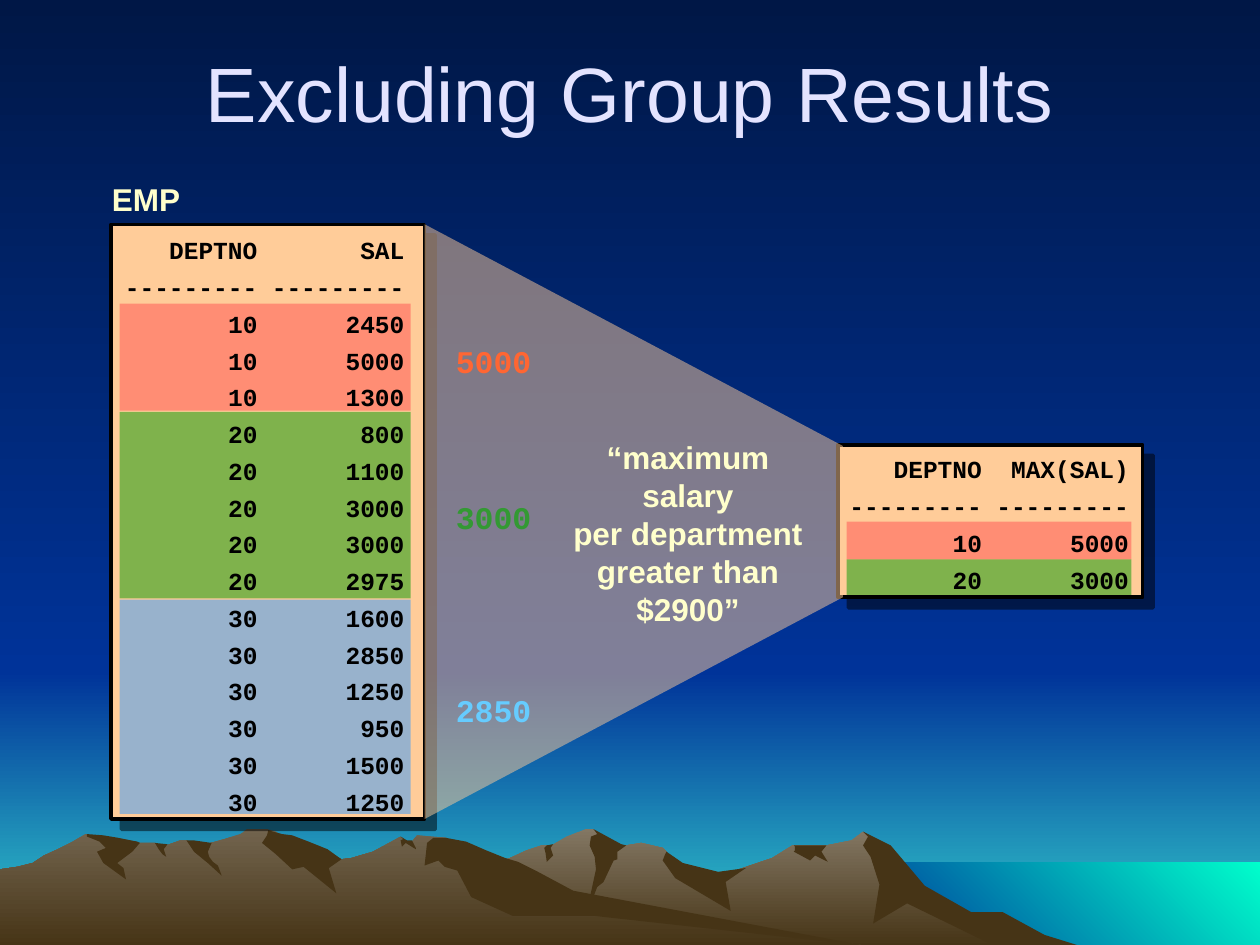
from dataclasses import dataclass

from lxml.etree import SubElement
from pptx import Presentation
from pptx.dml.color import RGBColor
from pptx.enum.shapes import MSO_SHAPE as Shape
from pptx.enum.text import MSO_ANCHOR as Anchor, MSO_AUTO_SIZE as AutoSize, PP_ALIGN as Align
from pptx.oxml.ns import qn
from pptx.util import Pt


@dataclass(frozen=True)
class Theme:
    sans: str = "Arial"
    mono: str = "Courier New"
    title_size: int = 44
    label_size: int = 18
    row_size: int = 14
    title: str = "E3E3FF"
    label: str = "FFFFCC"
    ink: str = "000000"
    panel: str = "FFCC99"
    rock_shade: str = "463416"
    night: tuple = ("001746", "003399")
    dusk: tuple = ("003399", "33CCCC")
    sea: tuple = ("00FFCC", "003399")
    far_rock: tuple = ("837763", "463416")
    near_rock: tuple = ("72644E", "463416")


THEME = Theme()
GRID = Pt(0.72)  # unit of the outline coordinates below
COLUMN_ENDS = (76, 160)  # right edges of the two text columns
DASHES = "-" * 9

FAR_RANGE = [
    (802, 740), (778, 727), (764, 723), (723, 698), (702, 671), (685, 660), (676, 667),
    (656, 671), (629, 671), (613, 681), (566, 697), (536, 690), (529, 676), (526, 673),
    (509, 669), (497, 671), (486, 673), (474, 661), (471, 658), (465, 658), (450, 664),
    (438, 671), (430, 671), (418, 675), (405, 681), (394, 685), (355, 698), (327, 709),
    (277, 739), (258, 751), (821, 751)]
FAR_SHADES = [
    [(796, 724), (771, 724), (734, 703), (707, 671), (685, 660), (689, 664), (685, 671),
     (691, 680), (698, 702), (693, 733), (720, 717), (792, 752), (858, 751), (829, 742)],
    [(471, 658), (474, 662), (469, 664), (468, 671), (472, 680), (473, 690), (465, 727),
     (474, 704), (479, 700), (487, 683), (490, 682), (490, 676), (497, 671), (493, 670)],
    [(529, 676), (528, 678), (526, 683), (536, 697), (580, 723), (576, 700), (592, 689),
     (570, 692), (542, 685)],
    [(650, 671), (630, 671), (631, 672), (631, 675), (630, 676), (643, 683), (647, 679),
     (657, 684), (652, 676), (656, 671)],
    [(433, 677), (432, 673), (434, 671), (439, 670), (437, 673), (439, 679), (434, 684)]]
NEAR_RANGE = [
    (690, 751), (667, 748), (432, 712), (354, 665), (331, 663), (327, 668), (323, 668),
    (318, 664), (296, 676), (279, 681), (271, 682), (260, 676), (236, 681), (223, 663),
    (219, 660), (212, 658), (196, 658), (191, 662), (178, 666), (160, 671), (148, 667),
    (143, 667), (132, 671), (128, 671), (123, 669), (111, 669), (94, 671), (68, 662),
    (56, 669), (46, 674), (35, 679), (26, 685), (14, 688), (0, 690), (0, 751)]
NEAR_SHADES = [
    [(212, 663), (208, 669), (219, 678), (232, 690), (241, 688), (267, 709), (261, 689),
     (271, 682), (260, 674), (245, 668), (232, 663), (224, 662), (213, 659)],
    [(370, 668), (354, 665), (344, 665), (339, 669), (337, 687), (348, 683), (353, 688),
     (363, 691), (374, 712), (407, 727), (472, 727), (690, 751), (683, 750), (455, 707),
     (427, 692), (411, 684), (401, 681), (386, 675)],
    [(318, 667), (320, 666), (318, 664), (323, 667), (327, 667), (330, 673), (330, 674),
     (322, 669), (319, 672)],
    [(154, 667), (168, 669), (165, 676), (166, 680), (169, 684), (173, 687), (176, 695),
     (165, 685), (154, 676), (148, 667)],
    [(133, 670), (130, 674), (132, 680), (129, 678), (126, 674), (123, 669)],
    [(109, 668), (111, 669), (105, 676), (93, 685), (98, 689), (100, 698), (82, 685),
     (77, 676), (84, 673), (79, 668), (69, 664), (69, 662), (82, 663), (94, 665)]]
CONE = [(337, 650), (337, 178), (669, 354), (669, 474)]

EMP_ROWS = [("DEPTNO", "SAL"), (DASHES, DASHES)] + [
    (department, salary)
    for department, salaries in (("10", "2450 5000 1300"),
                                 ("20", "800 1100 3000 3000 2975"),
                                 ("30", "1600 2850 1250 950 1500 1250"))
    for salary in salaries.split()]
RESULT_ROWS = [("DEPTNO", "MAX(SAL)"), (DASHES, DASHES), ("10", "5000"), ("20", "3000")]

# Band colour, (top, height) in EMP, (top, height) in the result, maximum, its top and colour
DEPARTMENTS = [
    ("FF5050", (173.5, 61.2), (298.1, 21.6), "5000", 186.5, "FF6633"),
    ("009900", (235.4, 106.6), (319.7, 20.2), "3000", 275.8, "339933"),
    ("3399FF", (342.7, 122.4), None, "2850", 385.9, "66CCFF")]


def paint(fill, colours, angle=90):
    """Fill with one colour, or with two as a gradient turned clockwise."""
    if isinstance(colours, str):
        fill.solid()
        fill.fore_color.rgb = RGBColor.from_string(colours)
        return
    fill.gradient()
    fill.gradient_angle = 360 - angle
    for stop, colour in zip(fill.gradient_stops, colours):
        stop.color.rgb = RGBColor.from_string(colour)


def add_shadow(properties, distance):
    effects = properties.find(qn("a:effectLst"))
    if effects is None:
        effects = SubElement(properties, qn("a:effectLst"))
    shadow = SubElement(effects, qn("a:outerShdw"), dist=str(Pt(distance)),
                        dir="2700000", algn="ctr", rotWithShape="0")
    colour = SubElement(shadow, qn("a:srgbClr"), val=THEME.ink)
    SubElement(colour, qn("a:alpha"), val="50000")
    return effects


def finish(shape, colours, angle=90, see_through=False):
    shape.shadow.inherit = False
    shape.line.fill.background()
    paint(shape.fill, colours, angle)
    if see_through:
        colour = shape.element.spPr.find(qn("a:solidFill"))[0]
        SubElement(colour, qn("a:alpha"), val="50000")
    return shape


def add_box(slide, left, top, width, height, colours, **options):
    shape = slide.shapes.add_shape(Shape.RECTANGLE, Pt(left), Pt(top), Pt(width), Pt(height))
    return finish(shape, colours, **options)


def add_outline(slide, points, colours, **options):
    builder = slide.shapes.build_freeform(*points[0], scale=GRID)
    builder.add_line_segments(points[1:], close=True)
    return finish(builder.convert_to_shape(), colours, **options)


def add_panel(slide, left, top, width, height):
    panel = add_box(slide, left, top, width, height, THEME.panel)
    paint(panel.line.fill, THEME.ink)
    panel.line.width = Pt(2)
    add_shadow(panel.element.spPr, 8.5)


def write(frame, paragraphs, font=THEME.sans, size=THEME.label_size, colour=THEME.label,
          bold=True, align=Align.LEFT, spacing=None, tabs=(), wrap=False):
    """Write paragraphs; a newline inside one is a line break."""
    frame.word_wrap = wrap
    frame.auto_size = AutoSize.NONE
    frame.vertical_anchor = Anchor.TOP
    for index, text in enumerate(paragraphs):
        paragraph = frame.add_paragraph() if index else frame.paragraphs[0]
        paragraph.alignment = align
        paragraph.line_spacing = spacing
        for number, line in enumerate(text.split("\n")):
            if number:
                paragraph.add_line_break()
            run = paragraph.add_run()
            run.text = line
            run.font.name, run.font.size, run.font.bold = font, Pt(size), bold
            run.font.color.rgb = RGBColor.from_string(colour)
        if tabs:
            stops = SubElement(paragraph._p.get_or_add_pPr(), qn("a:tabLst"))
            for position in tabs:
                SubElement(stops, qn("a:tab"), pos=str(Pt(position)), algn="r")


def add_text(slide, left, top, width, height, paragraphs, **style):
    box = slide.shapes.add_textbox(Pt(left), Pt(top), Pt(width), Pt(height))
    write(box.text_frame, paragraphs, **style)


def add_rows(slide, left, top, height, rows):
    lines = ["\t" + "\t".join(row) for row in rows]
    add_text(slide, left, top, 178, height, lines, font=THEME.mono, size=THEME.row_size,
             colour=THEME.ink, spacing=1.25, tabs=COLUMN_ENDS, wrap=True)


def add_landscape(slide):
    paint(slide.background.fill, THEME.night)
    add_box(slide, 0, 383.8, 720, 156.2, THEME.dusk)
    add_box(slide, 0, 0, 720, 383.8, THEME.night)
    add_box(slide, 491.8, 492.8, 228.2, 47.2, THEME.sea, angle=135)
    for mountains, rock, shades in ((FAR_RANGE, THEME.far_rock, FAR_SHADES),
                                    (NEAR_RANGE, THEME.near_rock, NEAR_SHADES)):
        add_outline(slide, mountains, rock)
        for shade in shades:
            add_outline(slide, shade, THEME.rock_shade)


def place_title(slide, text):
    title = slide.shapes.title
    title.left, title.top, title.width, title.height = Pt(36), Pt(18), Pt(648), Pt(90)
    write(title.text_frame, [text], size=THEME.title_size, colour=THEME.title, bold=False,
          align=Align.CENTER, wrap=True)
    title.text_frame.margin_top = Pt(8)
    properties = title.text_frame.paragraphs[0].runs[0].font._element
    properties.find(qn("a:solidFill")).addnext(add_shadow(properties, 4))
    slide.shapes.element.append(title.element) if hasattr(slide.shapes, "element") else \
        title.element.getparent().append(title.element)


def main():
    presentation = Presentation()
    presentation.slide_width, presentation.slide_height = Pt(720), Pt(540)
    slide = presentation.slides.add_slide(presentation.slide_layouts[5])

    # Backdrop, panels and the cone between them
    add_landscape(slide)
    add_panel(slide, 478.8, 254.2, 174.2, 87.1)
    add_panel(slide, 63.4, 128.2, 179.3, 339.8)
    add_outline(slide, CONE, THEME.panel, see_through=True)

    # Title and labels
    place_title(slide, "Excluding Group Results")
    add_text(slide, 320.4, 247, 145.4, 115.2,
             ["“maximum\nsalary\nper department", "greater than\n$2900”"], align=Align.CENTER)
    add_text(slide, 56.9, 99.4, 53.3, 28.8, ["EMP"])

    # Department bands with their maxima
    for band, emp, result, maximum, top, colour in DEPARTMENTS:
        add_box(slide, 68.4, emp[0], 166.3, emp[1], band, see_through=True)
        if result:
            add_box(slide, 483.8, result[0], 162.7, result[1], band, see_through=True)
        add_text(slide, 253.4, top, 57.6, 34.6, [maximum], font=THEME.mono, colour=colour,
                 spacing=1.25)

    # Query rows
    add_rows(slide, 64.1, 126.7, 343.4, EMP_ROWS)
    add_rows(slide, 478.1, 252, 91.4, RESULT_ROWS)
    presentation.save("out.pptx")


if __name__ == "__main__":
    main()
